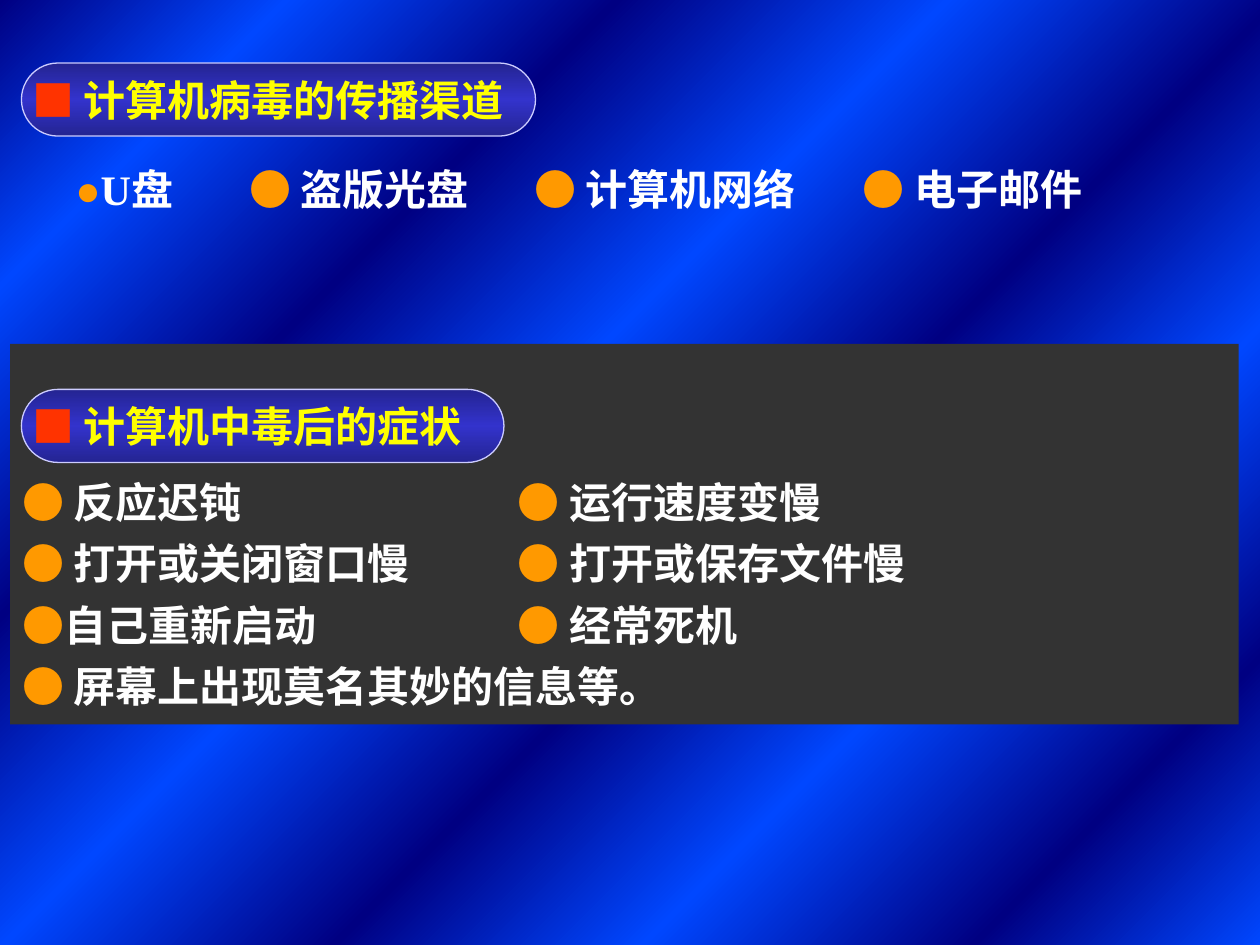
from dataclasses import dataclass

from lxml import etree
from pptx import Presentation, util as u
from pptx.dml.color import RGBColor
from pptx.enum import shapes, text
from pptx.oxml.ns import qn


@dataclass(frozen=True)
class Theme:
    font: str = "Times New Roman"
    size: u.Length = u.Pt(24)
    body: str = "FFFFFF"
    bullet: str = "FF9900"
    square: str = "FF3300"
    heading: str = "FFFF00"
    panel: str = "333333"
    outline: str = "CCCCFF"
    pill: tuple = ((0, "242492"), (50, "3333CC"), (100, "242492"))
    backdrop: tuple = tuple(
        (stop, ("000082", "0047FF")[index % 2])
        for index, stop in enumerate((0, 13, 28, 43, 58, 72, 87, 100))
    )


@dataclass(frozen=True)
class Heading:
    title: str
    top: float
    width: float


@dataclass(frozen=True)
class Entry:
    label: str
    marker: str = "● "


THEME = Theme()

HEADINGS = (
    Heading("计算机病毒的传播渠道", 0.5, 4.08),
    Heading("计算机中毒后的症状", 3.09, 3.83),
)
CHANNELS = (Entry("U盘", "●"), Entry("盗版光盘"), Entry("计算机网络"), Entry("电子邮件"))
CHANNEL_STOPS = (1.38, 3.64, 6.25)
SYMPTOMS = (
    (Entry("反应迟钝"), Entry("运行速度变慢")),
    (Entry("打开或关闭窗口慢"), Entry("打开或保存文件慢")),
    (Entry("自己重新启动", "●"), Entry("经常死机")),
    (Entry("屏幕上出现莫名其妙的信息等。"),),
)
SYMPTOM_STOPS = (3.93,)


def paint_gradient(fill, owner, stops: tuple, angle: int) -> None:
    fill.gradient()
    gradient = next(owner.iter(qn("a:gradFill")))
    stop_list = gradient.find(qn("a:gsLst"))
    for old_stop in list(stop_list):
        stop_list.remove(old_stop)
    for position, color in stops:
        stop = etree.SubElement(stop_list, qn("a:gs"), pos=str(position * 1000))
        etree.SubElement(stop, qn("a:srgbClr"), val=color)
    gradient.find(qn("a:lin")).set("ang", str(angle * 60000))


def add_run(paragraph, wording: str, color: str, bold: bool) -> None:
    run = paragraph.add_run()
    run.text = wording
    run.font.name = THEME.font
    run.font.size = THEME.size
    run.font.bold = bold
    run.font.color.rgb = RGBColor.from_string(color)


def add_entries(paragraph, entries: tuple, stops: tuple) -> None:
    paragraph.alignment = text.PP_ALIGN.JUSTIFY
    tab_list = etree.SubElement(paragraph._p.get_or_add_pPr(), qn("a:tabLst"))
    for stop in stops:
        etree.SubElement(tab_list, qn("a:tab"), pos=str(u.Inches(stop)), algn="l")
    for index, entry in enumerate(entries):
        add_run(paragraph, ("\t" if index else "") + entry.marker, THEME.bullet, False)
        add_run(paragraph, entry.label, THEME.body, True)


def add_heading(slide, heading: Heading) -> None:
    pill = slide.shapes.add_shape(
        shapes.MSO_SHAPE.ROUNDED_RECTANGLE,
        u.Inches(0.17), u.Inches(heading.top), u.Inches(heading.width), u.Inches(0.58),
    )
    pill.adjustments[0] = 0.5
    pill.shadow.inherit = False
    paint_gradient(pill.fill, pill.element, THEME.pill, 90)
    pill.line.color.rgb = RGBColor.from_string(THEME.outline)
    pill.line.width = u.Pt(0.75)
    frame = pill.text_frame
    frame.margin_left = frame.margin_right = frame.margin_top = frame.margin_bottom = 0
    frame.vertical_anchor = text.MSO_ANCHOR.MIDDLE
    paragraph = frame.paragraphs[0]
    paragraph.alignment = text.PP_ALIGN.LEFT
    add_run(paragraph, "■ ", THEME.square, True)
    add_run(paragraph, heading.title, THEME.heading, True)


def add_symptoms(slide) -> None:
    panel = slide.shapes.add_shape(
        shapes.MSO_SHAPE.RECTANGLE,
        u.Inches(0.08), u.Inches(2.73), u.Inches(9.75), u.Inches(3.02),
    )
    panel.shadow.inherit = False
    panel.fill.solid()
    panel.fill.fore_color.rgb = RGBColor.from_string(THEME.panel)
    panel.line.fill.background()
    frame = panel.text_frame
    frame.vertical_anchor = text.MSO_ANCHOR.TOP
    frame.margin_top = u.Inches(0.96)
    for index, row in enumerate(SYMPTOMS):
        paragraph = frame.add_paragraph() if index else frame.paragraphs[0]
        paragraph.line_spacing = u.Pt(35.2)
        add_entries(paragraph, row, SYMPTOM_STOPS)


def add_channels(slide) -> None:
    box = slide.shapes.add_textbox(
        u.Inches(0.5), u.Inches(1.21), u.Inches(9.17), u.Inches(0.54)
    )
    box.text_frame.word_wrap = True
    paragraph = box.text_frame.paragraphs[0]
    paragraph.line_spacing = 1.1
    add_entries(paragraph, CHANNELS, CHANNEL_STOPS)


def main() -> None:
    deck = Presentation()
    deck.slide_width, deck.slide_height = u.Inches(10), u.Inches(7.5)
    slide = deck.slides.add_slide(deck.slide_layouts[6])
    paint_gradient(slide.background.fill, slide.element, THEME.backdrop, 45)
    add_symptoms(slide)
    add_channels(slide)
    for heading in HEADINGS:
        add_heading(slide, heading)
    deck.save("out.pptx")


if __name__ == "__main__":
    main()
